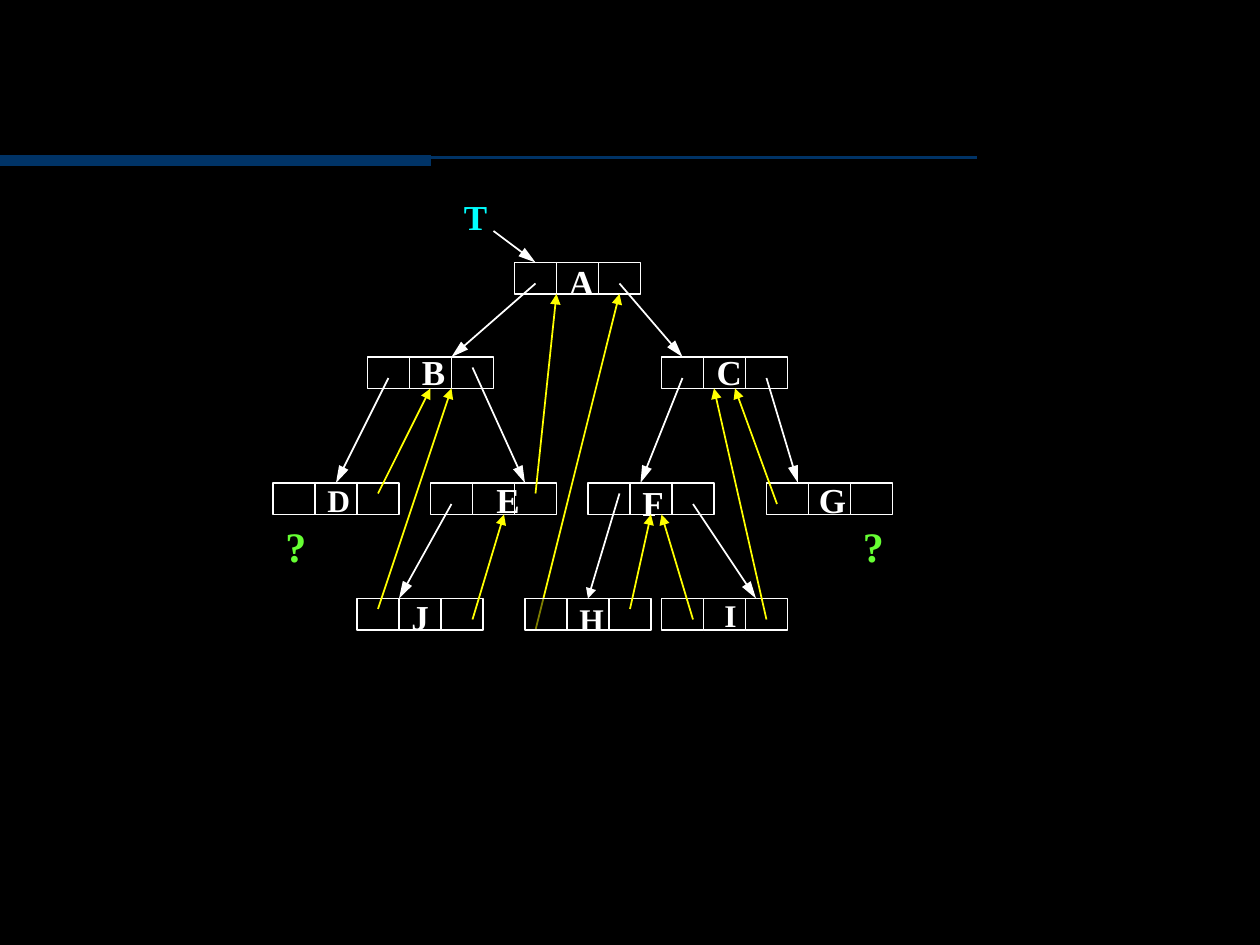
from dataclasses import dataclass

from lxml import etree
from pptx import Presentation
from pptx import util as u
from pptx.dml.color import RGBColor
from pptx.enum import shapes, text
from pptx.oxml.ns import qn


@dataclass(frozen=True)
class Theme:
    ground: str = "000000"
    rule: str = "003366"
    line: str = "FFFFFF"
    thread: str = "FFFF00"
    root: str = "00FFFF"
    query: str = "66FF33"
    font: str = "Times New Roman"
    small: int = 18
    normal: int = 20
    large: int = 24


THEME = Theme()
CELL_W, CELL_H = 4, 3  # one node is three cells wide

# name: column and row of the node on the tree grid
NODES = {
    "A": (23, 7), "B": (9, 16), "C": (37, 16),
    "D": (0, 28), "E": (15, 28), "F": (30, 28), "G": (47, 28),
    "J": (8, 39), "H": (24, 39), "I": (37, 39),
}
# name: offset from its node, width, type size
LABELS = {
    "A": (4, -0.76, 4.8, THEME.normal), "B": (4, -1.24, 4.56, THEME.normal),
    "C": (4.08, -1.24, 4.8, THEME.normal), "D": (4, -0.76, 4.56, THEME.small),
    "E": (5.08, -1, 4.56, THEME.normal), "F": (4, -0.76, 4.44, THEME.normal),
    "G": (3.8, -1, 4.92, THEME.normal), "J": (4, -0.84, 4.08, THEME.normal),
    "H": (4, -0.48, 4.68, THEME.small), "I": (4.8, -0.84, 3.48, THEME.small),
}
# from node, offset inside it, to node, offset along its edge
CHILDREN = [
    ("A", 2, 2, "B", 8), ("A", 10, 2, "C", 2),
    ("B", 2, 2, "D", 6), ("B", 10, 1, "E", 9),
    ("C", 2, 2, "F", 5), ("C", 10, 2, "G", 3),
    ("E", 2, 2, "J", 4), ("F", 10, 2, "I", 9),
]
THREADS = [
    ("E", 10, 1, "A", 4), ("J", 11, 2, "E", 7), ("D", 10, 1, "B", 6),
    ("I", 3, 2, "F", 7), ("H", 1, 3, "A", 10), ("J", 2, 1, "B", 8),
    ("G", 1, 2, "C", 7), ("I", 10, 2, "C", 5),
]


@dataclass(frozen=True)
class Grid:
    left: int
    top: int
    unit: float

    def point(self, column, row):
        return (round(self.left + column * self.unit),
                round(self.top + row * self.unit))

    def size(self, columns, rows):
        return round(columns * self.unit), round(rows * self.unit)


def color(value):
    return RGBColor.from_string(value)


def add_line(page, start, end, tone, width, head=None):
    """Draw a straight line; head is the arrowhead's length, if it has one."""
    line = page.shapes.add_connector(
        shapes.MSO_CONNECTOR.STRAIGHT, *start, *end)
    line.line.color.rgb = color(tone)
    line.line.width = u.Pt(width)
    if head:
        etree.SubElement(line.line._get_or_add_ln(), qn("a:tailEnd"),
                         type="triangle", w="med", len=head)
    etree.SubElement(line._element.spPr, qn("a:effectLst"))
    return line


def add_label(page, grid, words, column, row, width, size, tone):
    # six points to a grid unit, plus the box's top and bottom margins
    height = (1.2 * size + 7.2) / 6
    box = page.shapes.add_textbox(*grid.point(column, row),
                                  *grid.size(width, height))
    frame = box.text_frame
    frame.text = words
    frame.word_wrap = False
    frame.auto_size = text.MSO_AUTO_SIZE.SHAPE_TO_FIT_TEXT
    font = frame.paragraphs[0].runs[0].font
    font.name, font.size, font.bold = THEME.font, u.Pt(size), True
    font.color.rgb = color(tone)


def add_node(page, grid, name, alpha=None):
    """Draw the three cells and the letter; return the cells left to right."""
    column, row = NODES[name]
    cells = []
    for index in (2, 1, 0):
        cell = page.shapes.add_shape(
            shapes.MSO_SHAPE.RECTANGLE,
            *grid.point(column + index * CELL_W, row),
            *grid.size(CELL_W, CELL_H))
        cell.shadow.inherit = False
        cell.fill.solid()
        cell.fill.fore_color.rgb = color(THEME.ground)
        if alpha:
            fill = cell._element.spPr.find(qn("a:solidFill"))
            etree.SubElement(fill[0], qn("a:alpha"), val=str(alpha * 1000))
        cell.line.color.rgb = color(THEME.line)
        cell.line.width = u.Pt(1)
        cells.insert(0, cell)
    dx, dy, width, size = LABELS[name]
    add_label(page, grid, name, column + dx, row + dy, width, size, THEME.line)
    return cells


def add_link(page, grid, cells, link, tone, head="med"):
    """Point from inside one node to another's near edge."""
    source, dx, dy, target, offset = link
    column, row = NODES[source]
    end_column, end_row = NODES[target]
    upward = end_row < row
    line = add_line(page, grid.point(column + dx, row + dy),
                    grid.point(end_column + offset,
                               end_row + CELL_H * upward),
                    tone, 1, head)
    index, rest = divmod(offset, CELL_W)
    if rest * 2 == CELL_W:
        line.end_connect(cells[target][index], 2 if upward else 0)


def add_header_rule(page, width, height):
    for right, level, weight in ((0.775, 1 / 6, 1.5), (0.342, 0.17, 6)):
        y = round(height * level)
        add_line(page, (0, y), (round(width * right), y), THEME.rule, weight)


def add_threaded_tree(page, grid):
    cells = {name: add_node(page, grid, name) for name in NODES if name != "H"}
    for link in CHILDREN:
        add_link(page, grid, cells, link, THEME.line, "lg")
    add_label(page, grid, "T", 17, 0, 4.56, THEME.normal, THEME.root)
    root = add_line(page, grid.point(21, 4), grid.point(25, 7),
                    THEME.line, 1, "lg")
    root.end_connect(cells["A"][0], 0)
    for link in THREADS:
        add_link(page, grid, cells, link, THEME.thread)
    for column in (0, 55):
        add_label(page, grid, "?", column, 31, 4.32, THEME.large, THEME.query)
    # H is half transparent and lies over the thread that leaves it
    cells["H"] = add_node(page, grid, "H", alpha=50)
    add_link(page, grid, cells, ("F", 3, 1, "H", 6), THEME.line)
    add_link(page, grid, cells, ("H", 10, 1, "F", 6), THEME.thread)


def main():
    deck = Presentation()
    deck.slide_width, deck.slide_height = u.Inches(10), u.Inches(7.5)
    page = deck.slides.add_slide(deck.slide_layouts[6])
    page.background.fill.solid()
    page.background.fill.fore_color.rgb = color(THEME.ground)
    add_header_rule(page, deck.slide_width, deck.slide_height)
    unit = deck.slide_width / 120
    add_threaded_tree(page, Grid(round(26 * unit), round(18 * unit), unit))
    deck.save("out.pptx")


if __name__ == "__main__":
    main()
